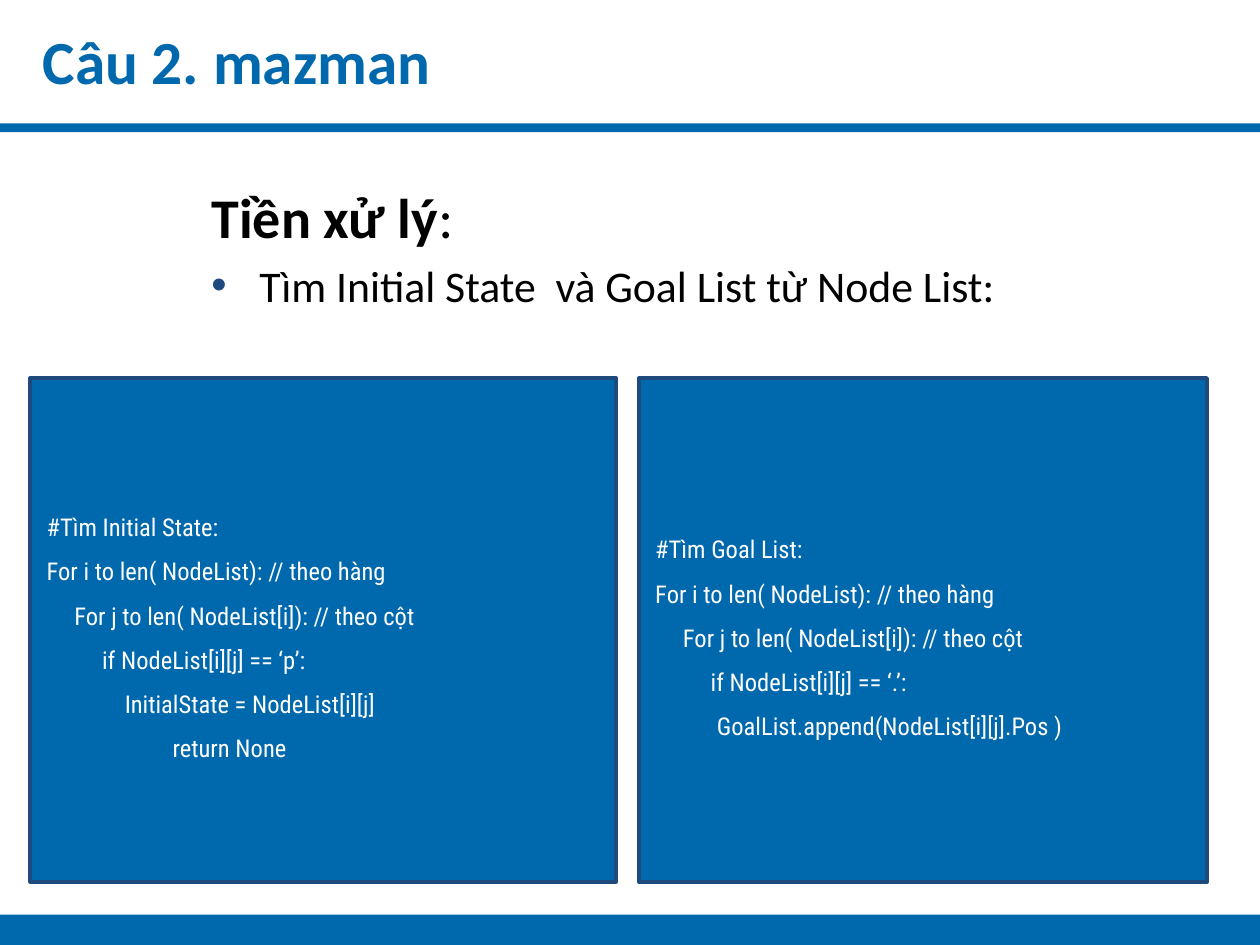
import pptx
import pptx.dml.color
import pptx.enum.shapes
import pptx.enum.text
import pptx.oxml.ns
import pptx.util
from dataclasses import dataclass
from lxml import etree

Inches = pptx.util.Inches
Pt = pptx.util.Pt
RGB = pptx.dml.color.RGBColor.from_string


@dataclass(frozen=True)
class Theme:
    blue: str = "0068AC"
    navy: str = "1F4A7D"
    black: str = "000000"
    white: str = "FFFFFF"
    body_font: str = "Calibri"
    code_font: str = "Roboto Condensed"
    title_size: int = 35
    heading_size: int = 32
    bullet_size: int = 25
    code_size: int = 14


THEME = Theme()

# Each code line is (indent in inches, text)
INITIAL_STATE_CODE = [
    (0, "#Tìm Initial State:"),
    (0, "For i to len( NodeList): // theo hàng"),
    (0.22, "For j to len( NodeList[i]): // theo cột"),
    (0.44, "if NodeList[i][j] == ‘p’:"),
    (0.62, "InitialState = NodeList[i][j]"),
    (1, "return None"),
]
GOAL_LIST_CODE = [
    (0, "#Tìm Goal List:"),
    (0, "For i to len( NodeList): // theo hàng"),
    (0.22, "For j to len( NodeList[i]): // theo cột"),
    (0.44, "if NodeList[i][j] == ‘.’:"),
    (0.49, "GoalList.append(NodeList[i][j].Pos )"),
]


def set_format(target, values):
    for name, value in values.items():
        setattr(target, name, value)


def add_run(paragraph, text, size, color, font=THEME.body_font, bold=False):
    run = paragraph.add_run()
    run.text = text
    set_format(run.font, {"name": font, "size": Pt(size), "bold": bold})
    run.font.color.rgb = RGB(color)


def set_indent(paragraph, left, first=0):
    properties = paragraph._p.get_or_add_pPr()
    properties.set("marL", str(Inches(left)))
    properties.set("indent", str(Inches(first)))
    return properties


def add_bullet(paragraph, color):
    properties = set_indent(paragraph, 0.38, -0.38)
    qn = pptx.oxml.ns.qn
    bullet_color = etree.SubElement(properties, qn("a:buClr"))
    etree.SubElement(bullet_color, qn("a:srgbClr"), val=color)
    etree.SubElement(properties, qn("a:buFont"), typeface="Arial")
    etree.SubElement(properties, qn("a:buChar"), char="•")


def add_text_box(slide, left, top, width, height, anchor):
    shape = slide.shapes.add_textbox(Inches(left), Inches(top), Inches(width), Inches(height))
    set_format(shape.text_frame, {"word_wrap": True, "vertical_anchor": anchor})
    return shape.text_frame


def add_rectangle(slide, left, top, width, height):
    shape = slide.shapes.add_shape(
        pptx.enum.shapes.MSO_SHAPE.RECTANGLE,
        Inches(left), Inches(top), Inches(width), Inches(height))
    shape.shadow.inherit = False
    shape.fill.solid()
    shape.fill.fore_color.rgb = RGB(THEME.blue)
    shape.line.fill.background()
    return shape


def add_code_panel(slide, left, width, lines):
    panel = add_rectangle(slide, left, 3, width, 4)
    panel.line.color.rgb = RGB(THEME.navy)
    panel.line.width = Pt(2)
    frame = panel.text_frame
    set_format(frame, {
        "word_wrap": True,
        "vertical_anchor": pptx.enum.text.MSO_ANCHOR.MIDDLE,
        "margin_left": Inches(0.13), "margin_right": Inches(0.13),
        "margin_top": Inches(0.07), "margin_bottom": Inches(0.07),
    })
    for number, (indent, text) in enumerate(lines):
        paragraph = frame.add_paragraph() if number else frame.paragraphs[0]
        set_format(paragraph, {"alignment": pptx.enum.text.PP_ALIGN.LEFT, "line_spacing": 1.5})
        set_indent(paragraph, indent)
        add_run(paragraph, text, THEME.code_size, THEME.white, THEME.code_font)


def add_introduction(slide):
    frame = add_text_box(slide, 1.58, 1.4, 7, 1.34, pptx.enum.text.MSO_ANCHOR.TOP)
    heading = frame.paragraphs[0]
    add_run(heading, "Tiền xử lý", THEME.heading_size, THEME.black, bold=True)
    add_run(heading, ":", THEME.heading_size, THEME.black)
    item = frame.add_paragraph()
    item.space_before = Pt(5)
    add_bullet(item, THEME.navy)
    add_run(item, "Tìm Initial State  và Goal List từ Node List:", THEME.bullet_size, THEME.black)


def main():
    presentation = pptx.Presentation()
    set_format(presentation, {"slide_width": Inches(10), "slide_height": Inches(7.5)})
    slide = presentation.slides.add_slide(presentation.slide_layouts[6])

    # Header rule and footer band
    add_rectangle(slide, 0, 0.98, 10, 0.07)
    add_rectangle(slide, 0, 7.26, 10, 0.24)

    # Title
    title = add_text_box(slide, 0.24, 0.16, 8.5, 0.63, pptx.enum.text.MSO_ANCHOR.MIDDLE)
    add_run(title.paragraphs[0], "Câu 2. mazman", THEME.title_size, THEME.blue, bold=True)

    # Introduction and the two code panels
    add_introduction(slide)
    add_code_panel(slide, 0.24, 4.65, INITIAL_STATE_CODE)
    add_code_panel(slide, 5.07, 4.51, GOAL_LIST_CODE)

    presentation.save("out.pptx")


if __name__ == "__main__":
    main()
